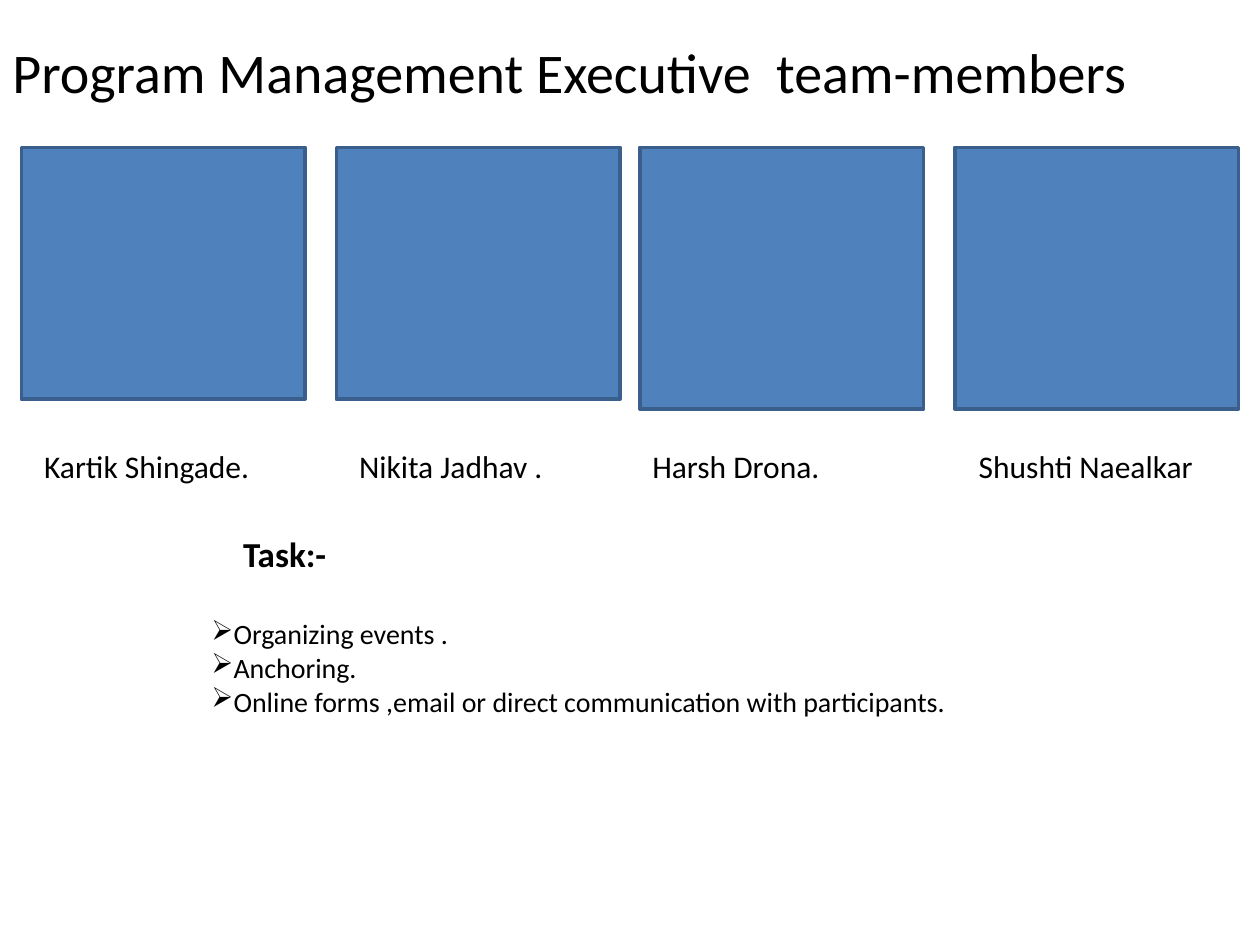
from pptx import Presentation
from pptx.dml.color import RGBColor
from pptx.enum.shapes import MSO_SHAPE
from pptx.enum.text import MSO_AUTO_SIZE, PP_ALIGN
from pptx.util import Cm, Pt
from lxml.etree import SubElement
from pptx.oxml.ns import qn


def color(value):
    return RGBColor.from_string(value)


def add_text(page, place, lines):
    """Add a text box; each line is (text, font values, paragraph values)."""
    box = page.shapes.add_textbox(*[Cm(length) for length in place])
    frame = box.text_frame
    frame.word_wrap = True
    frame.auto_size = MSO_AUTO_SIZE.SHAPE_TO_FIT_TEXT
    for index, (text, font_values, para_values) in enumerate(lines):
        para = frame.add_paragraph() if index else frame.paragraphs[0]
        for name, value in para_values.items():
            setattr(para, name, value)
        span = para.add_run()
        span.text = text
        for name, value in {"name": "Calibri", **font_values}.items():
            setattr(span.font, name, value)
        span.font.color.rgb = color("000000")
    return box


deck = Presentation()
deck.slide_width, deck.slide_height = Cm(25.4), Cm(19.05)
page = deck.slides.add_slide(deck.slide_layouts[6])

# Title
add_text(page, (0, 0.64, 23.7, 2.39),
         [("Program Management Executive  team-members", {"size": Pt(32)}, {})])

# Team members: card left, card height, name left, name width, name
members = [
    (0.43, 5.08, 0.64, 5.72, "Kartik Shingade."),
    (6.78, 5.08, 6.99, 5.08, "Nikita Jadhav ."),
    (12.9, 5.28, 12.9, 5.92, "Harsh Drona."),
    (19.25, 5.28, 19.48, 5.51, "Shushti Naealkar"),
]
for card_left, card_height, name_left, name_width, name in members:
    card = page.shapes.add_shape(MSO_SHAPE.RECTANGLE, Cm(card_left), Cm(2.97),
                                 Cm(5.72), Cm(card_height))
    card.shadow.inherit = False
    card.fill.solid()
    card.fill.fore_color.rgb = color("4F81BD")
    card.line.color.rgb = color("3A5F8C")
    card.line.width = Pt(2)
    add_text(page, (name_left, 8.89, name_width, 1.8),
             [(name, {"size": Pt(18)}, {})])

# Task heading and list
justified = {"alignment": PP_ALIGN.JUSTIFY}
tasks = [
    "Organizing events .",
    "Anchoring.",
    "Online forms ,email or direct communication with participants.",
]
lines = [("Task:-", {"size": Pt(20), "bold": True},
          {**justified, "space_after": Pt(24)})]
lines += [(task, {"size": Pt(16)}, justified) for task in tasks]
task_box = add_text(page, (4.01, 10.62, 23.7, 9.09), lines)

# Heading indent and arrow bullets
heading, *bullets = task_box.text_frame.paragraphs
heading._p.get_or_add_pPr().set("marL", str(Cm(0.64)))
for para in bullets:
    properties = para._p.get_or_add_pPr()
    properties.set("marL", str(Cm(0.45)))
    properties.set("indent", str(-Cm(0.45)))
    SubElement(properties, qn("a:buChar")).set("char", "➢")

deck.save("out.pptx")
